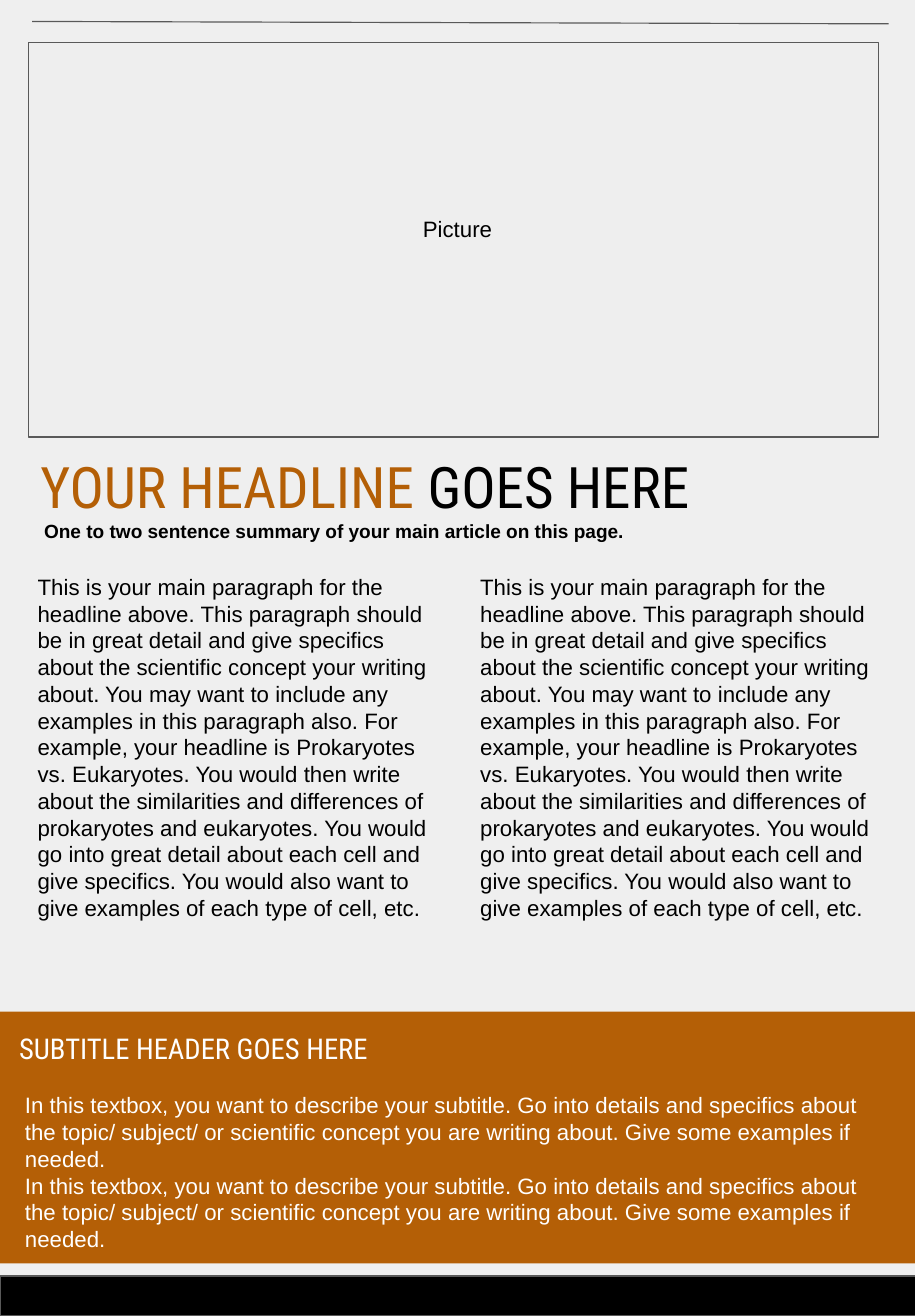
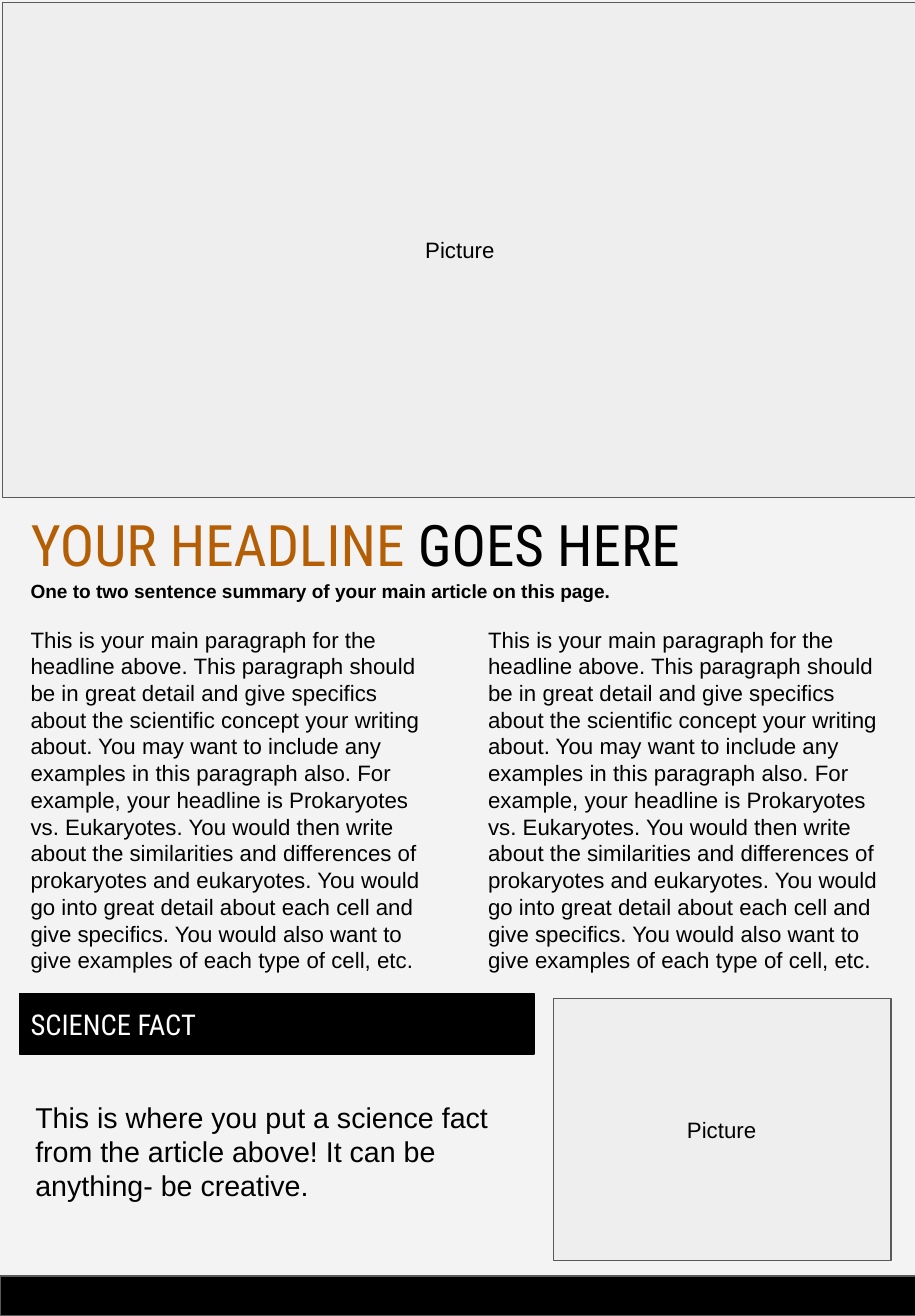
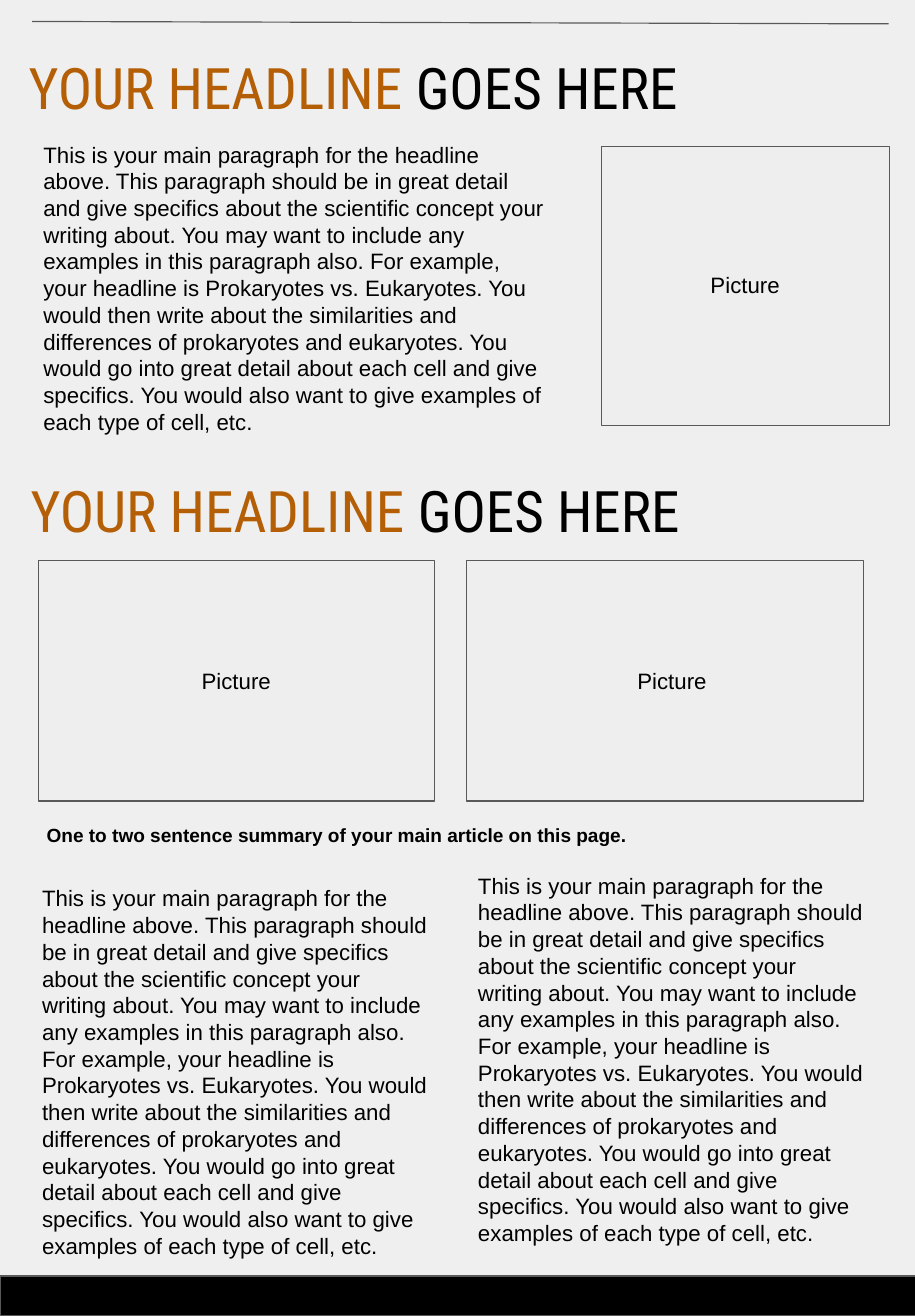
from pptx import Presentation
from pptx.dml.color import RGBColor
from pptx.enum.shapes import MSO_CONNECTOR as CONN, MSO_SHAPE as SHAPE
from pptx.enum.text import MSO_ANCHOR as ANCHOR, MSO_AUTO_SIZE as FIT, PP_ALIGN as ALIGN
from pptx.oxml.ns import qn
from pptx.util import Pt
from lxml import etree

COLORS = {
    "page": "EFEFEF",
    "pale_page": "F3F3F3",
    "frame": "EEEEEE",
    "rule": "595959",
    "accent": "B45F06",
    "black": "000000",
    "white": "FFFFFF",
}
HEAD_FONT, BODY_FONT = "Roboto Condensed", "Arial"
PAGE_W, PAGE_H = 576, 828
BAND_W, FOOTER_H = 579.6, 25.2
TITLE_ONLY = 5

SUMMARY = "One to two sentence summary of your main article on this page."
ARTICLE = (
    "This is your main paragraph for the headline above. This paragraph should be "
    "in great detail and give specifics about the scientific concept your writing "
    "about. You may want to include any examples in this paragraph also. For example, "
    "your headline is Prokaryotes vs. Eukaryotes. You would then write about the "
    "similarities and differences of prokaryotes and eukaryotes. You would go into "
    "great detail about each cell and give specifics. You would also want to give "
    "examples of each type of cell, etc."
)
SUBTOPIC = (
    "In this textbox, you want to describe your subtitle. Go into details and "
    "specifics about the topic/ subject/ or scientific concept you are writing about. "
    "Give some examples if needed."
)
FACT = (
    "This is where you put a science fact from the article above! "
    "It can be anything- be creative."
)


def rgb(name):
    return RGBColor.from_string(COLORS[name])


def add_run(p, text, size=14, font=BODY_FONT, color="black", bold=False):
    r = p.add_run()
    r.text = text
    r.font.size = Pt(size)
    r.font.name = font
    r.font.bold = bold
    r.font.color.rgb = rgb(color)


def set_frame(tf, anchor=ANCHOR.TOP):
    tf.word_wrap = True
    tf.auto_size = FIT.NONE
    tf.vertical_anchor = anchor
    tf.margin_left = tf.margin_right = tf.margin_top = tf.margin_bottom = Pt(7.2)


def write(tf, *paragraphs, align=ALIGN.LEFT, anchor=ANCHOR.TOP, **fmt):
    """Fill a text frame with one format for all its paragraphs."""
    set_frame(tf, anchor)
    for i, text in enumerate(paragraphs):
        p = tf.add_paragraph() if i else tf.paragraphs[0]
        p.alignment = align
        if fmt.get("font", BODY_FONT) == BODY_FONT:
            p.line_spacing = Pt(1.2 * fmt.get("size", 14))
        add_run(p, text, **fmt)


class Newsletter:
    """The page style and the slide being built."""

    def __init__(self):
        self.prs = Presentation()
        self.prs.slide_width, self.prs.slide_height = Pt(PAGE_W), Pt(PAGE_H)
        self.s = None

    def page(self, color="page"):
        self.s = self.prs.slides.add_slide(self.prs.slide_layouts[TITLE_ONLY])
        fill = self.s.background.fill
        fill.solid()
        fill.fore_color.rgb = rgb(color)

    def rect(self, x, y, w, h, fill="frame", line="rule"):
        sp = self.s.shapes.add_shape(SHAPE.RECTANGLE, Pt(x), Pt(y), Pt(w), Pt(h))
        sp.shadow.inherit = False
        sp.fill.solid()
        sp.fill.fore_color.rgb = rgb(fill)
        if line:
            sp.line.color.rgb = rgb(line)
            sp.line.width = Pt(0.75)
        else:
            sp.line.fill.background()
        return sp

    def text(self, x, y, w, h, *paragraphs, **fmt):
        sp = self.s.shapes.add_textbox(Pt(x), Pt(y), Pt(w), Pt(h))
        write(sp.text_frame, *paragraphs, **fmt)

    def headline(self, x, y, w=555, h=54.7, main=True):
        """Two-colour headline; the main one is the slide's title."""
        box = Pt(x), Pt(y), Pt(w), Pt(h)
        if main:
            sp = self.s.shapes.title
            sp.left, sp.top, sp.width, sp.height = box
        else:
            sp = self.s.shapes.add_textbox(*box)
        tf = sp.text_frame
        set_frame(tf)
        p = tf.paragraphs[0]
        p.alignment = ALIGN.LEFT
        for text, color in (("YOUR HEADLINE ", "accent"), ("GOES HERE", "black")):
            add_run(p, text, size=36, font=HEAD_FONT, color=color)

    def summary(self, x, y):
        self.text(x, y, 535, 38.2, SUMMARY, size=12, bold=True)

    def columns(self, lefts, tops, w, h):
        for x, y in zip(lefts, tops):
            self.text(x, y, w, h, ARTICLE)

    def picture_label(self, x, y, w=193):
        self.text(x, y, w, 54.7, "Picture", align=ALIGN.CENTER, anchor=ANCHOR.MIDDLE)

    def top_rule(self):
        ln = self.s.shapes.add_connector(
            CONN.STRAIGHT, Pt(20.2), Pt(13.5), Pt(559.4), Pt(15))
        ln.line.color.rgb = rgb("rule")
        ln.line.width = Pt(0.75)
        etree.SubElement(ln.element.spPr, qn("a:effectLst"))

    def footer(self):
        self.rect(0, PAGE_H - FOOTER_H, BAND_W, FOOTER_H, fill="black")


def lead_page(n):
    n.page()
    n.rect(18.2, 26.6, 535, 248.4)
    n.headline(18.2, 276.5, 535, 49.7)
    n.summary(20.7, 319.7)
    n.columns((16.6, 295.2), (353.5, 353.5), 260, 248.4)
    n.rect(0, 636.5, BAND_W, 158.4, fill="accent", line=None)
    n.footer()
    n.text(5, 641.5, 571, 38.2, "SUBTITLE HEADER GOES HERE",
           size=18, font=HEAD_FONT, color="white")
    n.text(8.6, 679.7, 555, 96.5, SUBTOPIC, SUBTOPIC, color="white")
    n.picture_label(191.5, 116.6)
    n.top_rule()


def fact_page(n):
    n.page("pale_page")
    n.footer()
    n.rect(1.5, 1.5, 576, 311.8)
    n.headline(12.2, 313.2)
    n.summary(12.2, 357.1)
    n.columns((12.2, 300.2), (386.6, 386.6), 260, 248.4)
    n.rect(348.5, 628, 212.4, 165)
    bar = n.rect(12.2, 625, 324, 38.2, fill="black", line="black")
    write(bar.text_frame, "SCIENCE FACT", anchor=ANCHOR.MIDDLE,
          size=18, font=HEAD_FONT, color="white")
    n.text(15.1, 684.7, 318.2, 108, FACT, size=18)
    n.picture_label(193, 129.6)
    n.picture_label(357.8, 683.3)


def two_story_page(n):
    n.page()
    n.headline(10.8, 25.9)
    n.rect(378.7, 92.2, 181.4, 175.7)
    n.text(20.2, 81.4, 332.6, 195.8, ARTICLE)
    n.top_rule()
    n.headline(12.2, 291.6, main=False)
    for x in (24, 293.8):
        n.rect(x, 352.8, 249.8, 151.2)
    n.summary(22.3, 511.2)
    n.columns((19.4, 293.8), (549.4, 541.4), 258.5, 212.4)
    n.footer()
    for x, y in ((416.9, 151.9), (96.5, 401), (370.8, 401)):
        n.picture_label(x, y, 104.4)


def main():
    n = Newsletter()
    for build in (lead_page, fact_page, two_story_page):
        build(n)
    n.prs.save("out.pptx")


if __name__ == "__main__":
    main()
